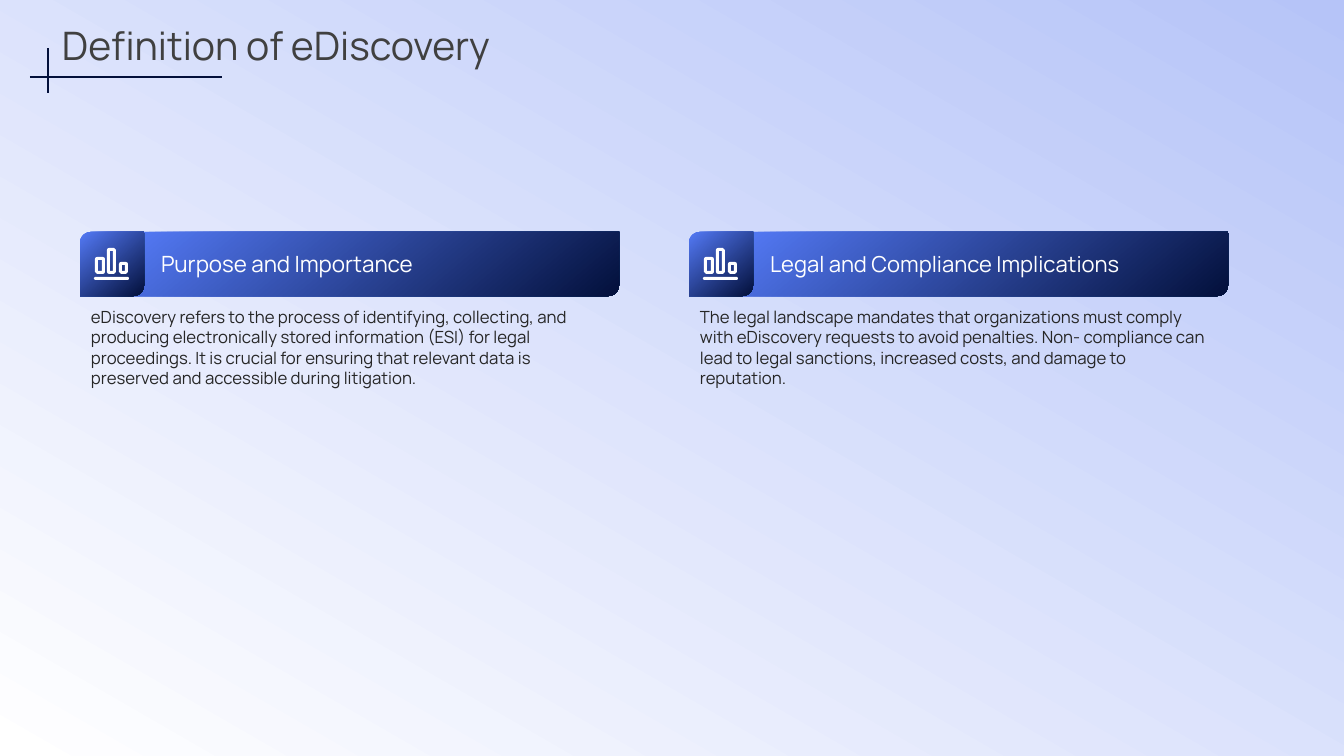
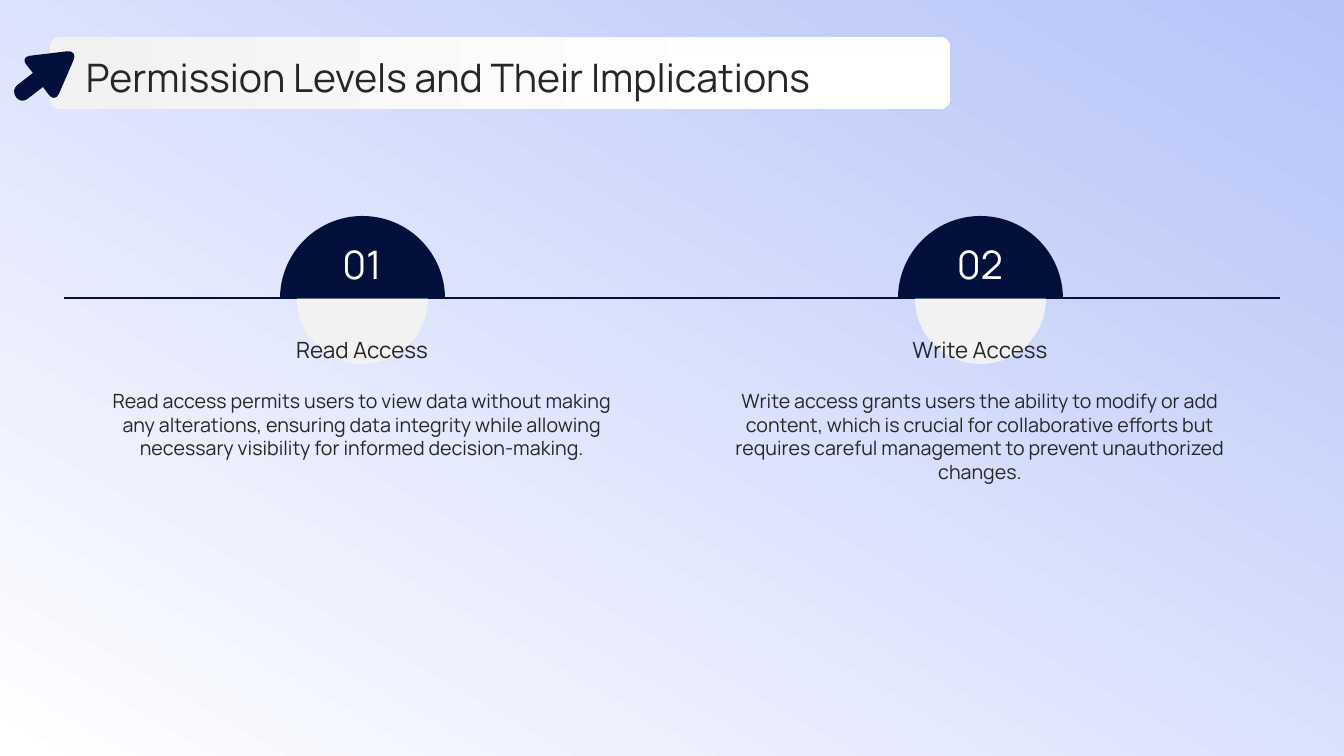
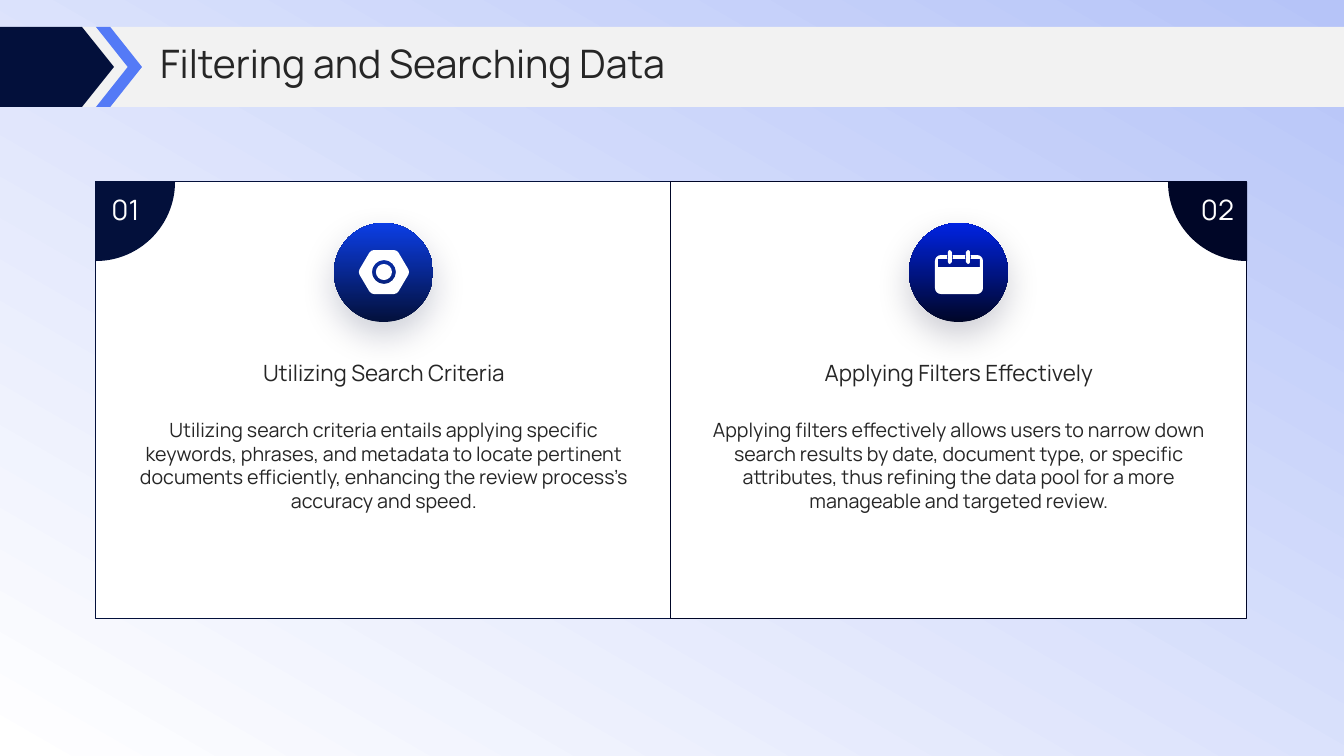
from dataclasses import dataclass
from math import hypot
from typing import NamedTuple, Optional, Sequence

from lxml.etree import SubElement
from pptx import Presentation
from pptx.dml.color import RGBColor
from pptx.dml.fill import FillFormat
from pptx.enum.shapes import MSO_CONNECTOR, MSO_SHAPE
from pptx.enum.text import MSO_ANCHOR, MSO_AUTO_SIZE, PP_ALIGN
from pptx.oxml.ns import qn
from pptx.shapes.autoshape import Shape
from pptx.slide import Slide
from pptx.text.text import TextFrame
from pptx.util import Emu, Pt

SLIDE_W, SLIDE_H = 1344, 756
EMU_PER_PX = 12192000 / SLIDE_W
TEXT_W = 516


@dataclass(frozen=True)
class Theme:
    font: str = "Manrope"
    navy: str = "03103B"
    midnight: str = "000627"
    blue: str = "547AF6"
    royal: str = "0C3EE6"
    cobalt: str = "0023E3"
    sky: str = "B6C4F8"
    pale: str = "F2F2F2"
    white: str = "FFFFFF"
    ink: str = "262626"
    grey: str = "404040"
    title: float = 28
    number: float = 20
    head: float = 16
    body: float = 14
    small: float = 12


T = Theme()


class Box(NamedTuple):
    x: int
    y: int
    w: int
    h: int


class Corner(NamedTuple):
    x: int
    y: int
    cut: int = 0  # distance from the corner at which rounding begins


class Gradient(NamedTuple):
    start: str
    end: str
    angle: int  # clockwise degrees
    end_at: float = 1


class Node(NamedTuple):
    x: float
    y: float
    curved: bool = False  # one of the three points of a Bézier curve


Point = tuple[float, float]
Contour = Sequence[Corner]


@dataclass(frozen=True)
class Topic:
    head: str
    body: str
    head_size: float = T.head


@dataclass(frozen=True)
class Panel:
    topic: Topic
    dark: str
    bright: str
    icon: Sequence[Contour]


def px(n: float) -> Emu:
    return Emu(round(n * EMU_PER_PX))


def rgb(color: str) -> RGBColor:
    return RGBColor.from_string(color)


# Fills, shapes and lines
def paint(fill: FillFormat, color: str | Gradient) -> None:
    if isinstance(color, str):
        fill.solid()
        fill.fore_color.rgb = rgb(color)
        return
    fill.gradient()
    fill.gradient_angle = (360 - color.angle) % 360
    first, last = fill.gradient_stops
    first.color.rgb, last.color.rgb = rgb(color.start), rgb(color.end)
    first.position, last.position = 0, color.end_at


def finish(sp: Shape, color: str | Gradient, line: Optional[str] = None) -> Shape:
    sp.shadow.inherit = False
    paint(sp.fill, color)
    if line:
        sp.line.color.rgb = rgb(line)
        sp.line.width = Pt(0.75)
    else:
        sp.line.fill.background()
    return sp


def shape(s: Slide, kind: MSO_SHAPE, box: Box, color: str | Gradient, *,
          line: Optional[str] = None, adj: Sequence[float] = ()) -> Shape:
    sp = s.shapes.add_shape(kind, *map(px, box))
    for i, value in enumerate(adj):
        sp.adjustments[i] = value
    return finish(sp, color, line)


def rule(s: Slide, x1: int, y1: int, x2: int, y2: int) -> None:
    c = s.shapes.add_connector(MSO_CONNECTOR.STRAIGHT, *map(px, (x1, y1, x2, y2)))
    c.line.color.rgb = rgb(T.navy)
    c.line.width = Pt(1)
    SubElement(c._element.spPr, qn("a:effectLst"))


def soft_shadow(sp: Shape, color: str) -> None:
    effects = sp._element.spPr.find(qn("a:effectLst"))
    shadow = SubElement(effects, qn("a:outerShdw"), blurRad=str(Pt(25)), dist=str(Pt(10)),
                        dir="5400000", algn="t", rotWithShape="0")
    clr = SubElement(shadow, qn("a:srgbClr"), val=color)
    SubElement(clr, qn("a:alpha"), val="20000")


# Outlines with rounded corners
def toward(a: Point, b: Point, dist: float) -> Point:
    t = dist / hypot(b[0] - a[0], b[1] - a[1])
    return a[0] + (b[0] - a[0]) * t, a[1] + (b[1] - a[1]) * t


def trace(contour: Contour) -> list[Node]:
    nodes: list[Node] = []
    for i, c in enumerate(contour):
        at = (c.x, c.y)
        if not c.cut:
            nodes.append(Node(*at))
            continue
        before, after = contour[i - 1], contour[(i + 1) % len(contour)]
        start, end = toward(at, before[:2], c.cut), toward(at, after[:2], c.cut)
        pull = c.cut * 0.55
        nodes.append(Node(*start))
        nodes += [Node(*pt, True) for pt in (toward(start, at, pull), toward(end, at, pull), end)]
    return nodes


def freeform(s: Slide, contours: Sequence[Contour], color: str, dx: float = 0, dy: float = 0) -> None:
    builder, flags = None, []
    for contour in contours:
        nodes = trace(contour)
        pts = [(px(n.x + dx), px(n.y + dy)) for n in nodes]
        if builder is None:
            builder = s.shapes.build_freeform(*pts[0])
        else:
            builder.move_to(*pts[0])
        builder.add_line_segments(pts[1:], close=True)
        # Closing adds no line element, so flags match the lines one to one
        flags += [n.curved for n in nodes[1:]]
    sp = finish(builder.convert_to_shape(), color)
    lines = list(sp._element.iter(qn("a:lnTo")))
    curved = [ln for ln, flag in zip(lines, flags) if flag]
    for first, *others in zip(curved[::3], curved[1::3], curved[2::3]):
        first.tag = qn("a:cubicBezTo")
        for ln in others:
            first.append(ln[0])
            ln.getparent().remove(ln)


def frame(x1: int, y1: int, x2: int, y2: int, cut: int = 0) -> Contour:
    return [Corner(x1, y1, cut), Corner(x2, y1, cut), Corner(x2, y2, cut), Corner(x1, y2, cut)]


def ring(radius: int) -> Contour:
    return frame(-radius, -radius, radius, radius, radius)


# Icons
CHART_BARS = [(95, 257, 105), (107, 248, 116), (119, 262, 128)]
CHART_ICON = [frame(94, 277, 129, 280, 1)]
for left, top, right in CHART_BARS:
    CHART_ICON += [frame(left, top, right, 274, 2), frame(left + 3, top + 3, right - 3, 271)]

NUT_ICON = [
    [Corner(x, y, 3) for x, y in ((-26, 0), (-13, -22), (13, -22), (26, 0), (13, 22), (-13, 22))],
    ring(12), ring(8),
]

CALENDAR_ICON = [frame(-24, -17, 24, 22, 6), frame(-21, -13, 21, -5)]
for pin in (-9, 9):
    CALENDAR_ICON += [frame(pin - 3, -17, pin + 3, -13), frame(pin - 2, -22, pin + 2, -8, 2)]

ARROW = [Corner(78, 50, 11), Corner(55, 103, 10), Corner(43, 87), Corner(21, 104, 8),
         Corner(11, 90, 8), Corner(33, 73), Corner(20, 57, 10)]


# Text
def write(tf: TextFrame, content: str, *, size: float, color: str, align: PP_ALIGN = PP_ALIGN.LEFT,
          anchor: MSO_ANCHOR = MSO_ANCHOR.TOP) -> None:
    tf.auto_size = MSO_AUTO_SIZE.NONE
    tf.word_wrap = True
    tf.vertical_anchor = anchor
    tf.margin_left = tf.margin_top = tf.margin_right = tf.margin_bottom = 0
    p = tf.paragraphs[0]
    p.alignment = align
    r = p.add_run()
    r.text = content
    r.font.name = T.font
    r.font.size = Pt(size)
    r.font.color.rgb = rgb(color)


def text(s: Slide, box: Box, content: str, *, size: float, color: str = T.ink, **fmt) -> None:
    write(s.shapes.add_textbox(*map(px, box)).text_frame, content, size=size, color=color, **fmt)


def title(s: Slide, box: Box, content: str, color: str = T.ink) -> None:
    sp = s.shapes.title
    sp.left, sp.top, sp.width, sp.height = map(px, box)
    write(sp.text_frame, content, size=T.title, color=color, anchor=MSO_ANCHOR.MIDDLE)
    s.shapes.element.append(sp.element)  # in front of its band


def centred_topic(s: Slide, topic: Topic, x: int, head_y: int, body_y: int, body_h: int) -> None:
    text(s, Box(x, head_y, TEXT_W, 47), topic.head, size=topic.head_size,
         align=PP_ALIGN.CENTER, anchor=MSO_ANCHOR.MIDDLE)
    text(s, Box(x, body_y, TEXT_W, body_h), topic.body, size=T.body, align=PP_ALIGN.CENTER)


# Slides
def backdrop(s: Slide) -> None:
    shape(s, MSO_SHAPE.RECTANGLE, Box(0, 0, SLIDE_W, SLIDE_H), Gradient(T.sky, T.white, 120))


def definition_slide(s: Slide) -> None:
    topics = [
        Topic("Purpose and Importance",
              "eDiscovery refers to the process of identifying, collecting, and producing "
              "electronically stored information (ESI) for legal proceedings. It is crucial for "
              "ensuring that relevant data is preserved and accessible during litigation."),
        Topic("Legal and Compliance Implications",
              "The legal landscape mandates that organizations must comply with eDiscovery requests "
              "to avoid penalties. Non- compliance can lead to legal sanctions, increased costs, "
              "and damage to reputation.", 15.7),
    ]
    shade = Gradient(T.blue, T.navy, 50)
    for i, topic in enumerate(topics):
        dx = i * 609
        for x, w in ((131, 488), (80, 64)):
            shape(s, MSO_SHAPE.ROUND_2_DIAG_RECTANGLE, Box(x + dx, 232, w, 64), shade)
        freeform(s, CHART_ICON, T.white, dx)
        text(s, Box(161 + dx, 241, 421, 45), topic.head, size=topic.head_size, color=T.white,
             anchor=MSO_ANCHOR.MIDDLE)
        text(s, Box(91 + dx, 307, TEXT_W, 245), topic.body, size=T.small)
    rule(s, 30, 77, 222, 77)
    rule(s, 48, 93, 48, 48)
    title(s, Box(62, 21, 1236, 47), "Definition of eDiscovery", T.grey)


def permission_slide(s: Slide) -> None:
    topics = [
        Topic("Read Access",
              "Read access permits users to view data without making any alterations, ensuring data "
              "integrity while allowing necessary visibility for informed decision-making."),
        Topic("Write Access",
              "Write access grants users the ability to modify or add content, which is crucial for "
              "collaborative efforts but requires careful management to prevent unauthorized changes."),
    ]
    rule(s, 64, 298, 1280, 298)
    for i, topic in enumerate(topics):
        dx = i * 618
        shape(s, MSO_SHAPE.PIE, Box(297 + dx, 233, 131, 131), T.pale, adj=(0, 108))
        shape(s, MSO_SHAPE.PIE, Box(280 + dx, 216, 165, 165), T.navy, adj=(108, 0))
        text(s, Box(322 + dx, 240, 80, 39), f"{i + 1:02}", size=T.title, color=T.white,
             align=PP_ALIGN.CENTER)
        centred_topic(s, topic, 104 + dx, 326, 389, 207)
    shape(s, MSO_SHAPE.ROUNDED_RECTANGLE, Box(50, 37, 900, 72),
          Gradient(T.pale, T.white, 0, 0.8), adj=(0.14,))
    freeform(s, [ARROW], T.navy)
    title(s, Box(86, 51, 1176, 51), "Permission Levels and Their Implications")


def filtering_slide(s: Slide) -> None:
    panels = [
        Panel(Topic("Utilizing Search Criteria",
                    "Utilizing search criteria entails applying specific keywords, phrases, and "
                    "metadata to locate pertinent documents efficiently, enhancing the review "
                    "process's accuracy and speed."),
              T.navy, T.royal, NUT_ICON),
        Panel(Topic("Applying Filters Effectively",
                    "Applying filters effectively allows users to narrow down search results by date, "
                    "document type, or specific attributes, thus refining the data pool for a more "
                    "manageable and targeted review."),
              T.midnight, T.cobalt, CALENDAR_ICON),
    ]
    left, top, width, tab = 96, 182, 576, 79
    for i, panel in enumerate(panels):
        x = left + i * (width - 1)  # the panels share their border
        shape(s, MSO_SHAPE.RECTANGLE, Box(x, top, width, 437), T.white, line=panel.dark)
        # Quarter-circle tab in the outer corner
        outer, inward = (x, 1) if i == 0 else (x + width, -1)
        inner = outer + inward * tab
        freeform(s, [[Corner(outer, top), Corner(inner, top), Corner(inner, top + tab, tab),
                      Corner(outer, top + tab)]], panel.dark)
        text(s, Box(min(outer, outer + inward * 59), 193, 59, 43), f"{i + 1:02}", size=T.number,
             color=T.white, align=PP_ALIGN.CENTER)
        disc = shape(s, MSO_SHAPE.OVAL, Box(x + 238, 223, 99, 99),
                     Gradient(panel.dark, panel.bright, 270))
        soft_shadow(disc, panel.dark)
        freeform(s, panel.icon, T.white, x + width / 2, 272)
        centred_topic(s, panel.topic, x + 30, 349, 418, 186)
    # Title band
    shape(s, MSO_SHAPE.RECTANGLE, Box(29, 27, 1315, 80), T.pale)
    freeform(s, [[Corner(0, 27), Corner(82, 27), Corner(114, 67), Corner(82, 107), Corner(0, 107)]],
             T.navy)
    shape(s, MSO_SHAPE.CHEVRON, Box(96, 27, 46, 80), T.blue, adj=(0.69,))
    title(s, Box(160, 39, 1143, 47), "Filtering and Searching Data")


def main() -> None:
    prs = Presentation()
    prs.slide_width, prs.slide_height = px(SLIDE_W), px(SLIDE_H)
    title_only = prs.slide_layouts[5]
    for build in (definition_slide, permission_slide, filtering_slide):
        s = prs.slides.add_slide(title_only)
        backdrop(s)
        build(s)
    prs.save("out.pptx")


if __name__ == "__main__":
    main()
